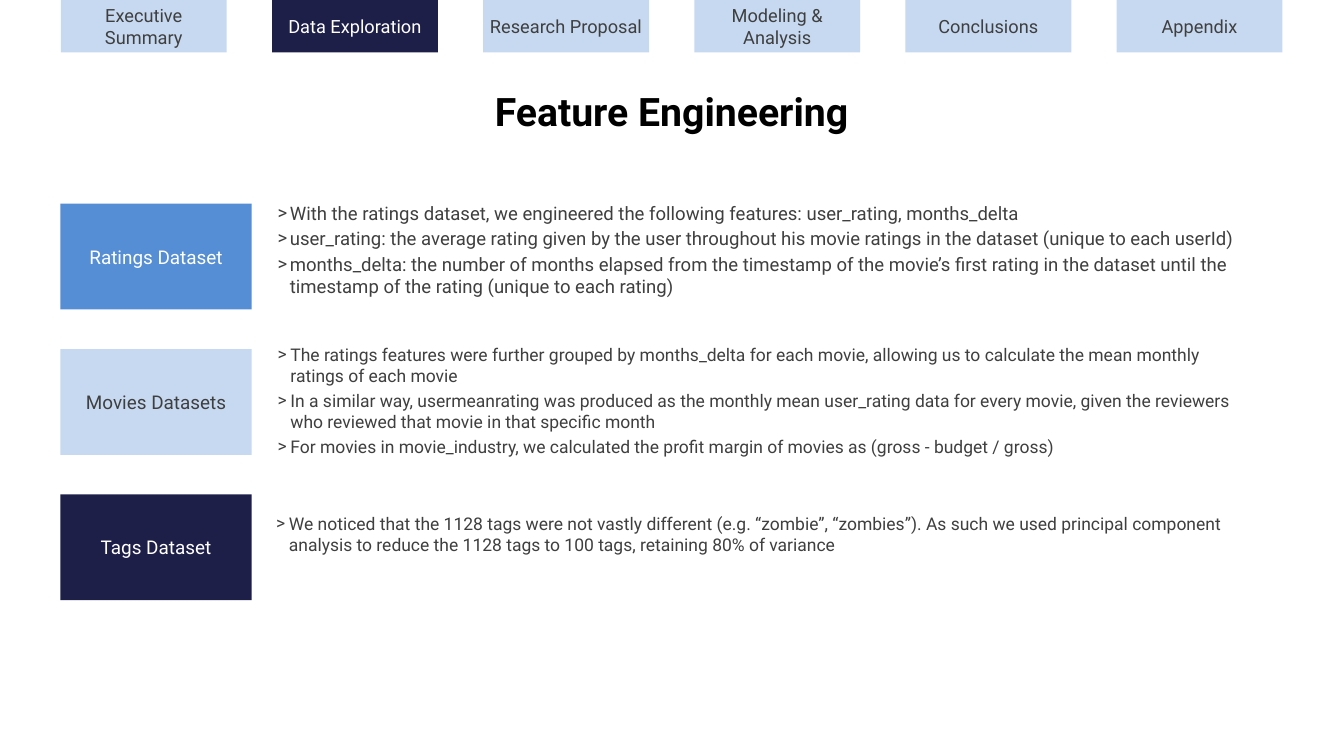
from lxml import etree
from pptx import Presentation
from pptx.dml.color import RGBColor
from pptx.enum.shapes import MSO_SHAPE
from pptx.enum.text import MSO_ANCHOR, MSO_AUTO_SIZE, PP_ALIGN
from pptx.oxml.ns import qn
from pptx.util import Cm, Pt

RECTANGLE = MSO_SHAPE.RECTANGLE
MIDDLE, TOP = MSO_ANCHOR.MIDDLE, MSO_ANCHOR.TOP
CENTER, LEFT = PP_ALIGN.CENTER, PP_ALIGN.LEFT
NO_AUTOFIT = MSO_AUTO_SIZE.NONE
TITLE_ONLY = 5
FONT = "Roboto"
COLORS = {
    "navy": "1E1F49",
    "blue": "558ED5",
    "pale": "C6D9F1",
    "gray": "3F3F3F",
    "white": "FFFFFF",
    "black": "000000",
}
SECTIONS = [
    "Executive Summary", "Data Exploration", "Research Proposal",
    "Modeling & Analysis", "Conclusions", "Appendix",
]
CURRENT_SECTION = "Data Exploration"
DATASETS = [
    {
        "label": "Ratings Dataset", "fill": "blue", "color": "white",
        "box": (10.82, -0.23, 49.4, 6.15), "size": 26.5, "gap": 5, "indent": 0.61,
        "points": [
            "With the ratings dataset, we engineered the following features: user_rating, months_delta",
            "user_rating: the average rating given by the user throughout his movie ratings "
            "in the dataset (unique to each userId)",
            "months_delta: the number of months elapsed from the timestamp of the movie’s first "
            "rating in the dataset until the timestamp of the rating (unique to each rating)",
        ],
    },
    {
        "label": "Movies Datasets", "fill": "pale", "color": "gray",
        "box": (10.82, -0.4, 49.4, 6.15), "size": 25, "gap": 6, "indent": 0.64,
        "points": [
            "The ratings features were further grouped by months_delta for each movie, "
            "allowing us to calculate the mean monthly ratings of each movie",
            "In a similar way, usermeanrating was produced as the monthly mean user_rating data "
            "for every movie, given the reviewers who reviewed that movie in that specific month",
            "For movies in movie_industry, we calculated the profit margin of movies as "
            "(gross - budget / gross)",
        ],
    },
    {
        "label": "Tags Dataset", "fill": "navy", "color": "white",
        "box": (10.74, 0.81, 49.6, 3.73), "size": 25, "gap": 6, "indent": 0.64,
        "points": [
            "We noticed that the 1128 tags were not vastly different (e.g. “zombie”, “zombies”). "
            "As such we used principal component analysis to reduce the 1128 tags to 100 tags, "
            "retaining 80% of variance",
        ],
    },
]


def set_frame(text_frame, inset, anchor):
    """Set wrapping, equal insets and the vertical anchor of a text frame."""
    text_frame.word_wrap = True
    text_frame.auto_size = NO_AUTOFIT
    text_frame.vertical_anchor = anchor
    text_frame.margin_left = text_frame.margin_right = Cm(inset)
    text_frame.margin_top = text_frame.margin_bottom = Cm(inset)


def set_font(paragraph, size, color, alignment, bold=False):
    """Format a whole paragraph."""
    paragraph.alignment = alignment
    paragraph.font.name = FONT
    paragraph.font.size = Pt(size)
    paragraph.font.bold = bold
    paragraph.font.color.rgb = RGBColor.from_string(COLORS[color])


def set_bullet(paragraph, indent):
    """Give a paragraph a hanging angle-bracket bullet."""
    properties = paragraph._p.get_or_add_pPr()
    properties.set("marL", str(Cm(indent)))
    properties.set("indent", str(-Cm(indent)))
    bullet_color = etree.SubElement(properties, qn("a:buClr"))
    etree.SubElement(bullet_color, qn("a:srgbClr"), val=COLORS["gray"])
    etree.SubElement(properties, qn("a:buFont"), typeface=FONT)
    etree.SubElement(properties, qn("a:buChar"), char=">")


def add_label(slide, box, text, fill, color, size, inset):
    """Add a filled rectangle with centred text."""
    shape = slide.shapes.add_shape(RECTANGLE, *map(Cm, box))
    shape.shadow.inherit = False
    shape.fill.solid()
    shape.fill.fore_color.rgb = RGBColor.from_string(COLORS[fill])
    shape.line.fill.background()
    set_frame(shape.text_frame, inset, MIDDLE)
    shape.text_frame.text = text
    set_font(shape.text_frame.paragraphs[0], size, color, CENTER)


def add_navigation(slide, box):
    """Spread the section tabs evenly over the box."""
    left, top, width, height = box
    tab_width = 8.36
    pitch = (width - tab_width) / (len(SECTIONS) - 1)
    for index, section in enumerate(SECTIONS):
        fill, color = ("navy", "white") if section == CURRENT_SECTION else ("pale", "gray")
        tab_box = (left + index * pitch, top, tab_width, height)
        add_label(slide, tab_box, section, fill, color, 26, 0.18)


def add_title(slide, box):
    """Place and format the title placeholder."""
    title = slide.shapes.title
    title.left, title.top, title.width, title.height = map(Cm, box)
    set_frame(title.text_frame, 0.1, MIDDLE)
    title.text_frame.text = "Feature Engineering"
    paragraph = title.text_frame.paragraphs[0]
    paragraph.line_spacing = 0.9
    set_font(paragraph, 56, "black", CENTER, bold=True)


def add_points(slide, box, dataset):
    """Add the bulleted notes of one dataset."""
    text_frame = slide.shapes.add_textbox(*map(Cm, box)).text_frame
    set_frame(text_frame, 0.13, TOP)
    text_frame.text = "\n".join(dataset["points"])
    for index, paragraph in enumerate(text_frame.paragraphs):
        set_bullet(paragraph, dataset["indent"])
        paragraph.space_before = Pt(dataset["gap"] if index else 0)
        set_font(paragraph, dataset["size"], "gray", LEFT)


def add_datasets(slide, box):
    """Stack the dataset rows, each a label with notes beside it."""
    left, top, label_width, height = box
    label_height = 5.33
    pitch = (height - label_height) / (len(DATASETS) - 1)
    for index, dataset in enumerate(DATASETS):
        row_top = top + index * pitch
        label_box = (left, row_top, label_width, label_height)
        add_label(slide, label_box, dataset["label"], dataset["fill"], dataset["color"], 27, 0.13)
        offset_x, offset_y, width, points_height = dataset["box"]
        points_box = (left + offset_x, row_top + offset_y, width, points_height)
        add_points(slide, points_box, dataset)


def main():
    """Build and save the slide."""
    presentation = Presentation()
    presentation.slide_width, presentation.slide_height = Cm(67.74), Cm(38.1)
    slide = presentation.slides.add_slide(presentation.slide_layouts[TITLE_ONLY])
    add_navigation(slide, (3.07, 0, 61.57, 2.64))
    add_title(slide, (16.94, 4.42, 33.83, 2.59))
    add_datasets(slide, (3.05, 10.26, 9.63, 19.99))
    presentation.save("out.pptx")


if __name__ == "__main__":
    main()
